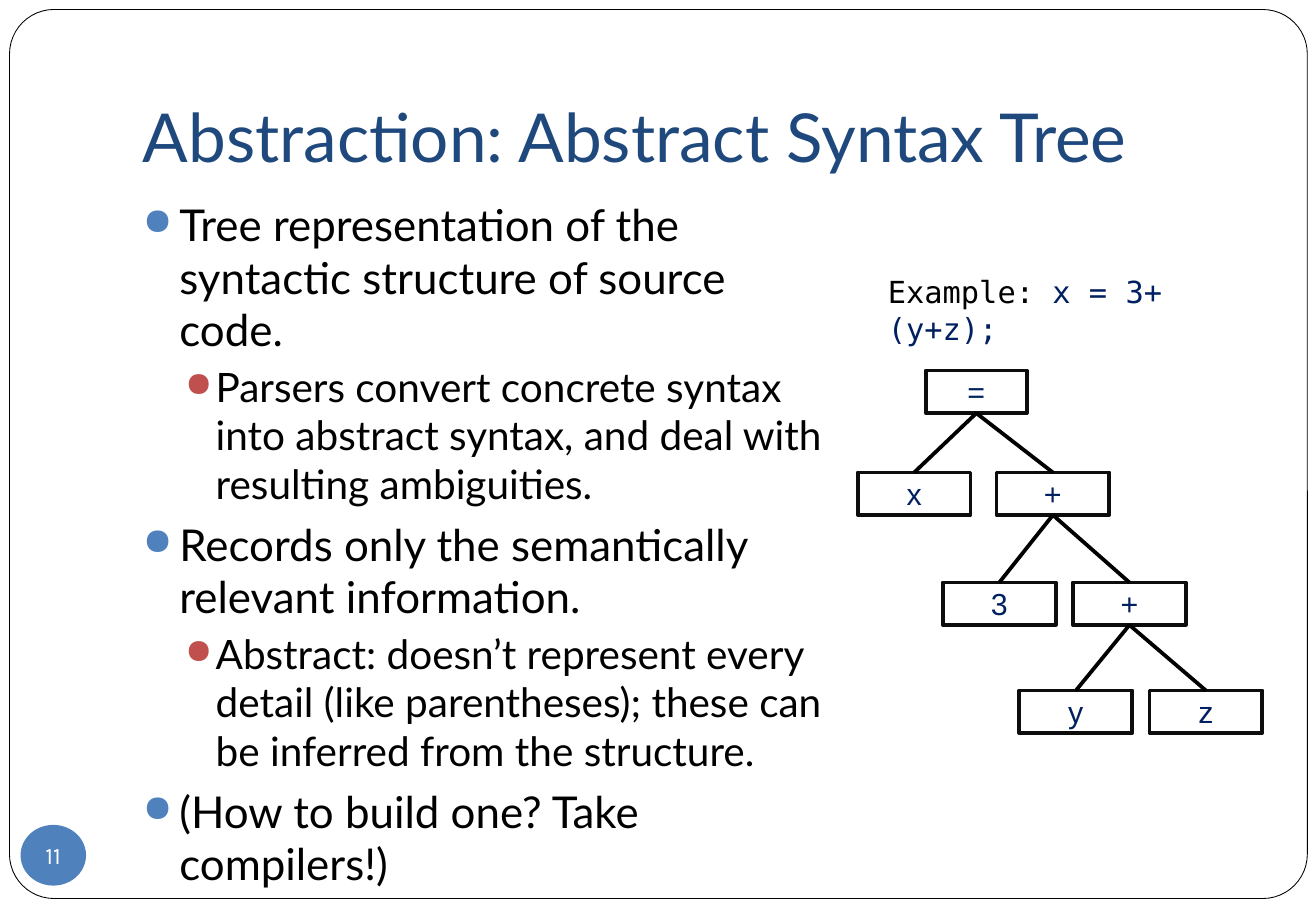
from lxml import etree
from pptx import Presentation
from pptx.dml.color import RGBColor
from pptx.enum.shapes import MSO_CONNECTOR, MSO_SHAPE
from pptx.enum.text import MSO_ANCHOR, PP_ALIGN
from pptx.oxml.ns import qn
from pptx.util import Cm, Pt

ROUNDED, RECTANGLE, OVAL = MSO_SHAPE.ROUNDED_RECTANGLE, MSO_SHAPE.RECTANGLE, MSO_SHAPE.OVAL
STRAIGHT = MSO_CONNECTOR.STRAIGHT
TOP, MIDDLE, BOTTOM = MSO_ANCHOR.TOP, MSO_ANCHOR.MIDDLE, MSO_ANCHOR.BOTTOM
CENTER = PP_ALIGN.CENTER
TOP_SIDE, BOTTOM_SIDE = 0, 2

BLACK = RGBColor(0x00, 0x00, 0x00)
WHITE = RGBColor(0xFF, 0xFF, 0xFF)
TITLE_BLUE = RGBColor(0x1F, 0x49, 0x7D)
CODE_BLUE = RGBColor(0x00, 0x20, 0x60)
BLUE = RGBColor(0x4F, 0x81, 0xBD)
RED = RGBColor(0xC0, 0x50, 0x4D)
NODE_LINE = RGBColor(0x0D, 0x0D, 0x0D)

TEXT_FONT, CODE_FONT, NODE_FONT, NUMBER_FONT = "Lato", "DejaVu Sans Mono", "Arial", "Karla"

# Per level: text size, space before, left indent, hanging indent, bullet colour
LEVELS = [
    (26, 5.8, 0.76, 0.76, BLUE),
    (24, 3.7, 1.52, 0.64, RED),
]
BULLETS = [
    (0, "Tree representation of the syntactic structure of source code."),
    (1, "Parsers convert concrete syntax into abstract syntax, and deal with resulting ambiguities."),
    (0, "Records only the semantically relevant information."),
    (1, "Abstract: doesn’t represent every detail (like parentheses); these can be inferred from the structure."),
    (0, "(How to build one? Take compilers!)"),
]

# Tree: (label, centre in cm, children)
SYNTAX_TREE = ("=", 20.41, [
    ("x", 19.11, []),
    ("+", 22.01, [
        ("3", 20.89, []),
        ("+", 23.61, [("y", 22.49, []), ("z", 25.21, [])]),
    ]),
])
ROW_TOPS = [7.75, 9.88, 12.18, 14.44]
ROOT_WIDTH, NODE_WIDTH, NODE_HEIGHT = 2.11, 2.36, 0.89


def add_run(paragraph, text, size, font, color):
    run = paragraph.add_run()
    run.text = text
    run.font.size = Pt(size)
    run.font.name = font
    run.font.color.rgb = color


def add_text_box(slide, left, top, width, height, anchor=TOP):
    frame = slide.shapes.add_textbox(Cm(left), Cm(top), Cm(width), Cm(height)).text_frame
    frame.word_wrap = True
    frame.vertical_anchor = anchor
    return frame


def add_plain_shape(slide, kind, left, top, width, height, fill, line=None, weight=0):
    shape = slide.shapes.add_shape(kind, Cm(left), Cm(top), Cm(width), Cm(height))
    shape.shadow.inherit = False
    shape.fill.solid()
    shape.fill.fore_color.rgb = fill
    if line is None:
        shape.line.fill.background()
    else:
        shape.line.color.rgb = line
        shape.line.width = Pt(weight)
    return shape


def add_label(shape, text, size, font, color):
    frame = shape.text_frame
    frame.vertical_anchor = MIDDLE
    paragraph = frame.paragraphs[0]
    paragraph.alignment = CENTER
    add_run(paragraph, text, size, font, color)


def add_bullet(paragraph, level, text):
    size, space, indent, hanging, color = LEVELS[level]
    paragraph.level = level
    paragraph.space_before = Pt(space)
    add_run(paragraph, text, size, TEXT_FONT, BLACK)
    properties = paragraph._p.get_or_add_pPr()
    properties.set("marL", str(Cm(indent)))
    properties.set("indent", str(-Cm(hanging)))
    bullet_color = etree.SubElement(properties, qn("a:buClr"))
    etree.SubElement(bullet_color, qn("a:srgbClr"), val=str(color))
    etree.SubElement(properties, qn("a:buSzPct"), val="85000")
    etree.SubElement(properties, qn("a:buChar"), char="●")


def add_branch(slide, parent, child):
    connector = slide.shapes.add_connector(STRAIGHT, 0, 0, 0, 0)
    connector.begin_connect(parent, BOTTOM_SIDE)
    connector.end_connect(child, TOP_SIDE)
    connector.line.color.rgb = BLACK
    connector.line.width = Pt(2.25)
    etree.SubElement(connector._element.spPr, qn("a:effectLst"))


def add_tree(slide, node, depth=0):
    label, center, children = node
    width = NODE_WIDTH if depth else ROOT_WIDTH
    box = add_plain_shape(slide, RECTANGLE, center - width / 2, ROW_TOPS[depth],
                          width, NODE_HEIGHT, WHITE, NODE_LINE, 2.25)
    add_label(box, label, 18, NODE_FONT, CODE_BLUE)
    for child in children:
        add_branch(slide, box, add_tree(slide, child, depth + 1))
    return box


def main():
    presentation = Presentation()
    presentation.slide_width = Cm(27.51)
    presentation.slide_height = Cm(19.05)
    slide = presentation.slides.add_slide(presentation.slide_layouts[6])

    # Rounded frame
    border = add_plain_shape(slide, ROUNDED, 0.2, 0.2, 27.13, 18.59, WHITE, BLACK, 0.5)
    border.adjustments[0] = 0.05

    # Title
    title = add_text_box(slide, 2.74, 0.76, 23.39, 3.18, BOTTOM)
    title.margin_bottom = Cm(0.25)
    add_run(title.paragraphs[0], "Abstraction: Abstract Syntax Tree", 40, TEXT_FONT, TITLE_BLUE)

    # Bulleted text
    body = add_text_box(slide, 2.74, 4.01, 15.09, 14.27)
    for index, (level, text) in enumerate(BULLETS):
        paragraph = body.add_paragraph() if index else body.paragraphs[0]
        add_bullet(paragraph, level, text)

    # Example and its syntax tree
    example = add_text_box(slide, 18.31, 5.59, 8.33, 1.02).paragraphs[0]
    add_run(example, "Example: ", 18, CODE_FONT, BLACK)
    add_run(example, "x = 3+(y+z);", 18, CODE_FONT, CODE_BLUE)
    add_tree(slide, SYNTAX_TREE)

    # Slide number
    badge = add_plain_shape(slide, OVAL, 0.43, 17.25, 1.37, 1.27, BLUE)
    frame = badge.text_frame
    frame.margin_left = frame.margin_right = frame.margin_top = frame.margin_bottom = 0
    frame.word_wrap = False
    add_label(badge, "11", 14, NUMBER_FONT, WHITE)

    presentation.save("out.pptx")


if __name__ == "__main__":
    main()
